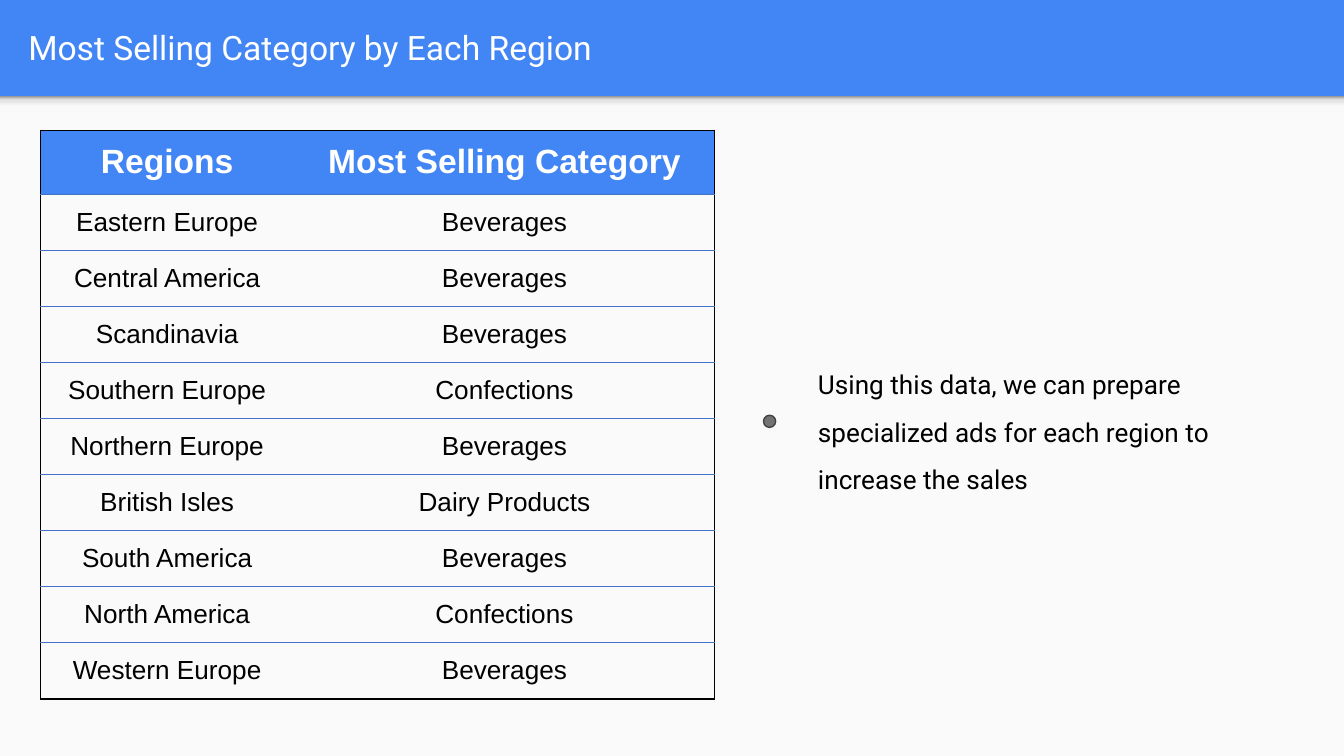
from lxml import etree
from pptx import Presentation
from pptx.dml.color import RGBColor
from pptx.enum.shapes import MSO_SHAPE
from pptx.enum.text import MSO_ANCHOR, MSO_AUTO_SIZE, PP_ALIGN
from pptx.oxml.ns import qn
from pptx.util import Cm, Pt

RECT, OVAL = MSO_SHAPE.RECTANGLE, MSO_SHAPE.OVAL
MIDDLE, FIXED = MSO_ANCHOR.MIDDLE, MSO_AUTO_SIZE.NONE
LEFT, CENTER = PP_ALIGN.LEFT, PP_ALIGN.CENTER

BLUE = RGBColor(0x42, 0x85, 0xF4)
RULE = RGBColor(0x44, 0x72, 0xC4)
PAPER = RGBColor(0xFA, 0xFA, 0xFA)
WHITE = RGBColor(0xFF, 0xFF, 0xFF)
BLACK = RGBColor(0, 0, 0)
GREY = RGBColor(0x73, 0x73, 0x73)
DARK = RGBColor(0x42, 0x42, 0x42)
FADE = [
    (0, RGBColor(0xF9, 0xF9, 0xF9)),
    (36, RGBColor(0xF9, 0xF9, 0xF9)),
    (80, RGBColor(0xDE, 0xDE, 0xDE)),
    (100, RGBColor(0x99, 0x99, 0x99)),
]
ROWS = [
    ("Regions", "Most Selling Category"),
    ("Eastern Europe", "Beverages"),
    ("Central America", "Beverages"),
    ("Scandinavia", "Beverages"),
    ("Southern Europe", "Confections"),
    ("Northern Europe", "Beverages"),
    ("British Isles", "Dairy Products"),
    ("South America", "Beverages"),
    ("North America", "Confections"),
    ("Western Europe", "Beverages"),
]


def set_text(frame, text, size, face, color, align):
    frame.text = text
    para = frame.paragraphs[0]
    para.alignment = align
    font = para.font
    font.size, font.name, font.color.rgb = Pt(size), face, color
    return para


def set_edge(cell, side, color):
    line = etree.SubElement(cell._tc.get_or_add_tcPr(), qn("a:ln" + side))
    if color is None:
        etree.SubElement(line, qn("a:noFill"))
        return
    line.set("w", str(Pt(0.75)))
    fill = etree.SubElement(line, qn("a:solidFill"))
    etree.SubElement(fill, qn("a:srgbClr"), val=str(color))


deck = Presentation()
deck.slide_width, deck.slide_height = Cm(25.4), Cm(14.29)
slide = deck.slides.add_slide(deck.slide_layouts[5])
slide.background.fill.solid()
slide.background.fill.fore_color.rgb = BLUE
shapes = slide.shapes

# Title
title = shapes.title
title.left, title.top = Cm(0.28), Cm(0.05)
title.width, title.height = Cm(24.51), Cm(1.68)
frame = title.text_frame
frame.auto_size, frame.vertical_anchor = FIXED, MIDDLE
set_text(frame, "Most Selling Category by Each Region", 18, "Roboto", WHITE, LEFT)

# Light panel under the title band
panel = shapes.add_shape(RECT, 0, Cm(1.82), Cm(25.4), Cm(12.47))
panel.shadow.inherit = False
panel.fill.solid()
panel.fill.fore_color.rgb = PAPER
panel.line.fill.background()

# Soft shade below the band, darkest at its top
shade = shapes.add_shape(RECT, 0, Cm(1.82), Cm(25.4), Cm(0.3))
shade.shadow.inherit = False
shade.line.fill.background()
shade.fill.gradient()
shade.fill.gradient_angle = 90
stops = shade._element.spPr.find(qn("a:gradFill")).find(qn("a:gsLst"))
for stop in list(stops):
    stops.remove(stop)
for pos, color in FADE:
    stop = etree.SubElement(stops, qn("a:gs"), pos=str(pos * 1000))
    etree.SubElement(stop, qn("a:srgbClr"), val=str(color))

# Table of regions
last = len(ROWS) - 1
table = shapes.add_table(
    len(ROWS), 2, Cm(0.76), Cm(2.46), Cm(12.75), Cm(10.75)
).table
table.horz_banding = False
table.columns[0].width, table.columns[1].width = Cm(4.8), Cm(7.95)
for r, row in enumerate(ROWS):
    head = r == 0
    table.rows[r].height = Cm(1.21 if head else 1.06)
    for c, text in enumerate(row):
        cell = table.cell(r, c)
        cell.margin_left = cell.margin_right = Cm(0.25)
        cell.margin_top = cell.margin_bottom = Cm(0.25)
        para = set_text(cell.text_frame, text, 18 if head else 14, "Arial",
                        WHITE if head else BLACK, CENTER)
        para.font.bold = head
        set_edge(cell, "L", BLACK if c == 0 else None)
        set_edge(cell, "R", BLACK if c == 1 else None)
        set_edge(cell, "T", BLACK if head else RULE)
        set_edge(cell, "B", BLACK if r == last else RULE)
        if head:
            cell.fill.solid()
            cell.fill.fore_color.rgb = BLUE
        else:
            cell.fill.background()

# Note with its round marker
note = shapes.add_textbox(Cm(15.21), Cm(6.22), Cm(9.4), Cm(3.58))
frame = note.text_frame
frame.word_wrap, frame.vertical_anchor = True, MIDDLE
frame.margin_left = frame.margin_right = Cm(0.25)
frame.margin_top = frame.margin_bottom = Cm(0.25)
para = set_text(
    frame,
    "Using this data, we can prepare specialized ads for each region "
    "to increase the sales",
    14, "Roboto", BLACK, LEFT)
para.line_spacing = 1.5

dot = shapes.add_shape(OVAL, Cm(14.43), Cm(7.85), Cm(0.23), Cm(0.23))
dot.shadow.inherit = False
dot.fill.solid()
dot.fill.fore_color.rgb = GREY
dot.line.color.rgb = DARK
dot.line.width = Pt(0.75)

deck.save("out.pptx")
